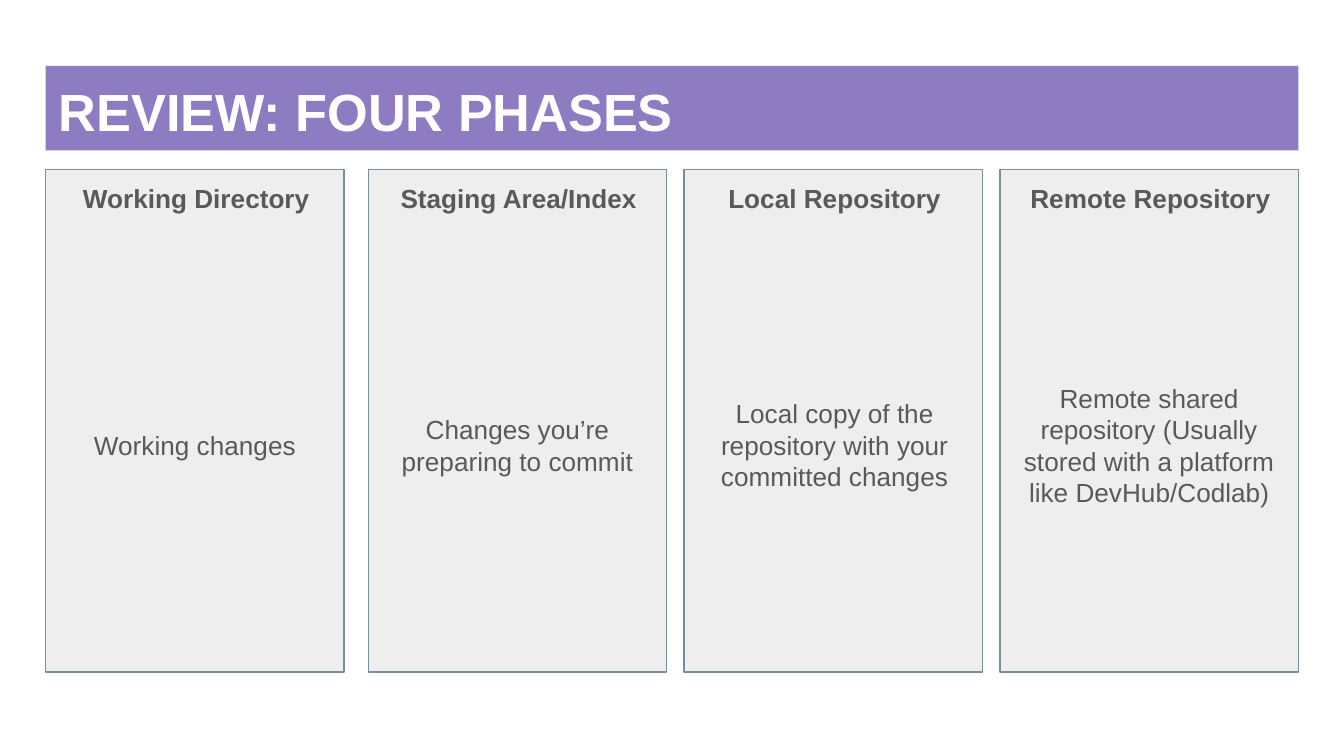
from dataclasses import dataclass

from pptx import Presentation
from pptx import util as u
from pptx.dml.color import RGBColor
from pptx.enum import shapes, text

COLORS = {"banner": "8E7CC3", "panel": "EEEEEE", "border": "78909C",
          "body": "595959", "title": "FFFFFF"}
PANEL_TOP, PANEL_WIDTH, PANEL_HEIGHT = 1.26, 2.22, 3.74
DETAIL_TOP = 1.62
HEADING = {"size": u.Pt(14), "bold": True}
DETAIL = {"size": u.Pt(14), "bold": False}
TITLE = {"size": u.Pt(28), "bold": True}


@dataclass
class Phase:
    """One column of the slide."""
    left: float
    name: str
    detail: str
    detail_shift: float = 0


PHASES = [
    Phase(0.34, "Working Directory", "Working changes"),
    Phase(2.74, "Staging Area/Index", "Changes you’re preparing to commit"),
    Phase(5.09, "Local Repository",
          "Local copy of the repository with your committed changes", 0.01),
    Phase(7.44, "Remote Repository",
          "Remote shared repository (Usually stored with a platform like DevHub/Codlab)"),
]


def color(name: str) -> RGBColor:
    """Look up a named colour."""
    return RGBColor.from_string(COLORS[name])


def add_rectangle(page, area: tuple, fill: str, border: str = ""):
    """Draw a flat rectangle, with a thin border if one is named."""
    box = page.shapes.add_shape(shapes.MSO_SHAPE.RECTANGLE, *map(u.Inches, area))
    box.shadow.inherit = False
    box.fill.solid()
    box.fill.fore_color.rgb = color(fill)
    if border:
        box.line.color.rgb = color(border)
        box.line.width = u.Pt(0.75)
    else:
        box.line.fill.background()
    return box


def write(box, words: str, font: dict, ink: str = "body",
          align=text.PP_ALIGN.CENTER, anchor=text.MSO_ANCHOR.TOP) -> None:
    """Fill a box with one formatted paragraph."""
    frame = box.text_frame
    frame.word_wrap = True
    frame.vertical_anchor = anchor
    for side in ("left", "top", "right", "bottom"):
        setattr(frame, f"margin_{side}", u.Inches(0.1))
    para = frame.paragraphs[0]
    para.alignment = align
    para.line_spacing = 1.0
    span = para.add_run()
    span.text = words
    for key, value in {"name": "Arial", **font}.items():
        setattr(span.font, key, value)
    span.font.color.rgb = color(ink)


def add_phase(page, phase: Phase) -> None:
    """Draw a panel with its heading and its centred description."""
    add_rectangle(page, (phase.left, PANEL_TOP, PANEL_WIDTH, PANEL_HEIGHT),
                  "panel", "border")
    heading = page.shapes.add_textbox(
        *map(u.Inches, (phase.left, PANEL_TOP, 2.24, 0.42)))
    write(heading, phase.name, HEADING)
    detail = page.shapes.add_textbox(
        *map(u.Inches, (phase.left + phase.detail_shift, DETAIL_TOP,
                        PANEL_WIDTH, 3.38)))
    write(detail, phase.detail, DETAIL, anchor=text.MSO_ANCHOR.MIDDLE)


def main() -> None:
    """Build and save the slide."""
    deck = Presentation()
    deck.slide_width = u.Inches(10)
    deck.slide_height = deck.slide_width * 9 // 16
    page = deck.slides.add_slide(deck.slide_layouts[6])
    banner = add_rectangle(page, (0.34, 0.49, 9.32, 0.63), "banner")
    write(banner, "REVIEW: FOUR PHASES", TITLE, "title",
          align=text.PP_ALIGN.LEFT)
    for phase in PHASES:
        add_phase(page, phase)
    deck.save("out.pptx")


main()
